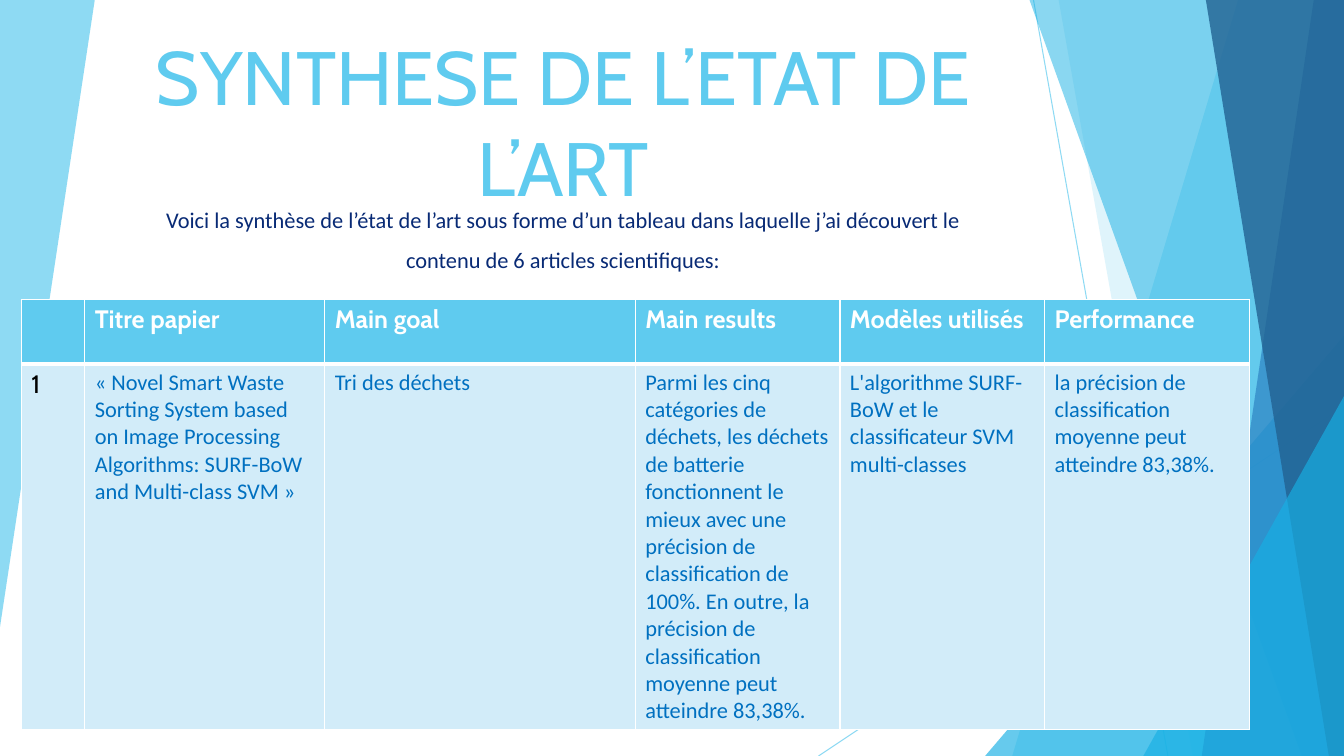
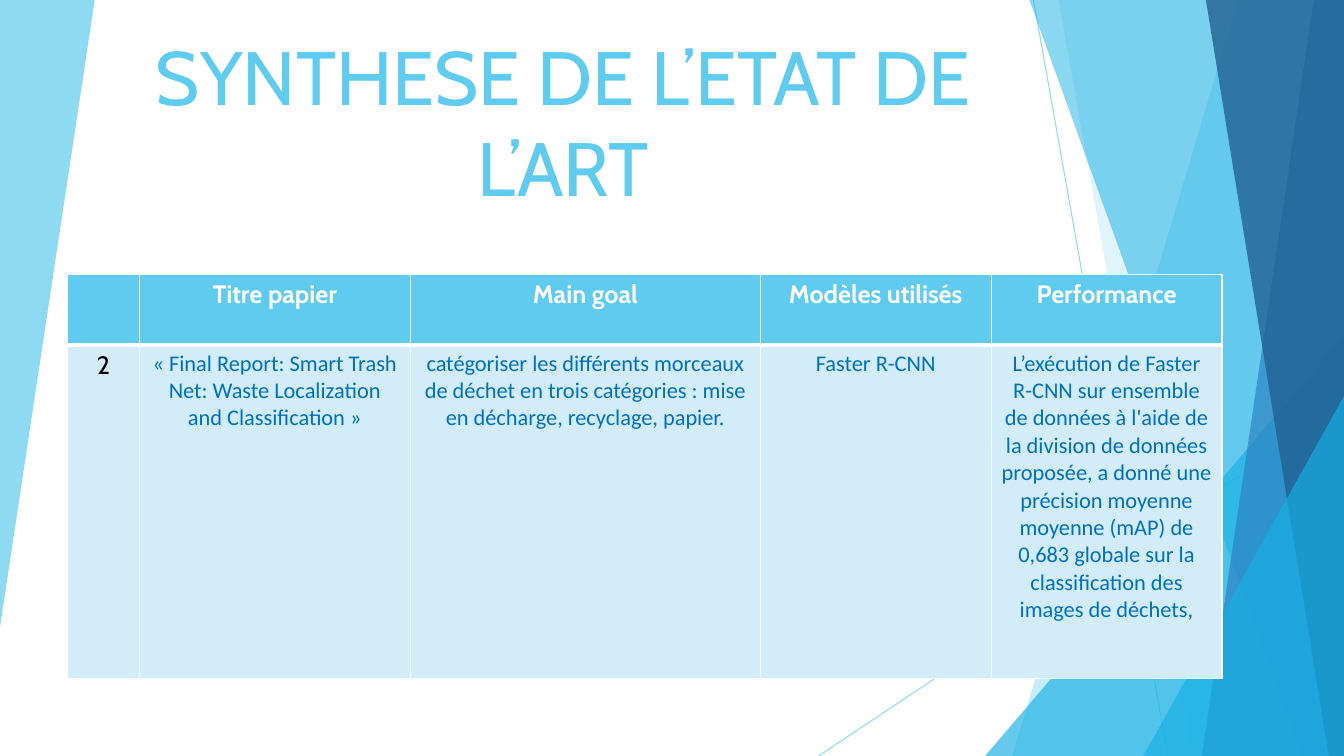
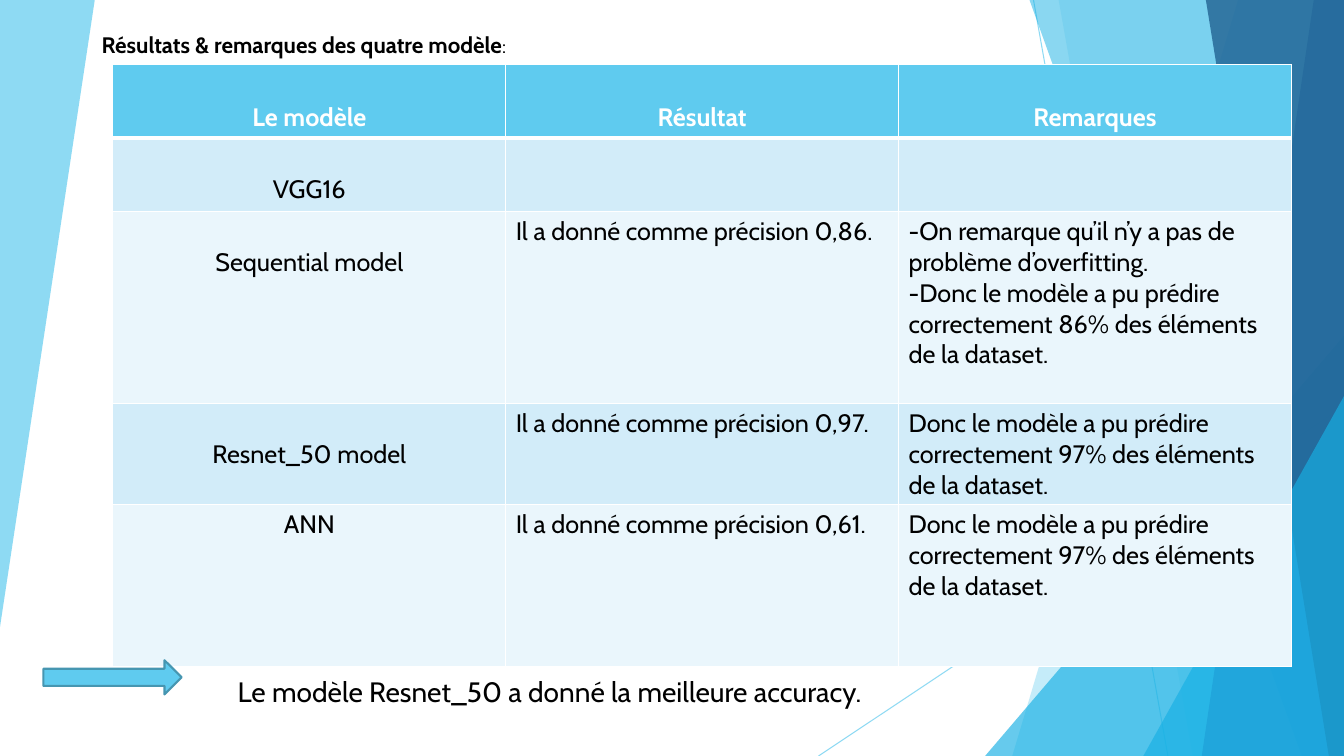
from lxml.etree import SubElement
from pptx import Presentation
from pptx.dml.color import RGBColor
from pptx.enum.shapes import MSO_CONNECTOR, MSO_SHAPE
from pptx.enum.text import MSO_ANCHOR, PP_ALIGN
from pptx.oxml.ns import qn
from pptx.util import Inches, Pt

HUES = {
    "sky": "5FCBEF", "cyan": "17B0E4", "blue": "2E83C3", "deep": "226292",
    "navy": "082A75", "link": "0070C0", "edge": "4696B1", "pale": "D2ECF9",
    "mist": "EAF6FC", "white": "FFFFFF", "black": "000000",
}
RGB = {name: RGBColor.from_string(code) for name, code in HUES.items()}
MID = PP_ALIGN.CENTER

deck = Presentation()
deck.slide_width, deck.slide_height = Inches(13.33), Inches(7.5)
COL, ROW = deck.slide_width / 100, deck.slide_height / 100


def span(*shares):
    return [round(share * (ROW if k % 2 else COL)) for k, share in enumerate(shares)]


def write(para, words, size=18, font="Cabin", hue="black", bold=False,
          align=None, lead=None, gap=None):
    run = para.add_run()
    run.text = words
    run.font.size, run.font.name, run.font.bold = Pt(size), font, bold
    run.font.color.rgb = RGB[hue]
    para.alignment, para.line_spacing = align, lead
    if gap:
        para.space_before = Pt(gap)


blank = deck.slide_layouts[6]
for holder in list(blank.placeholders):
    holder.element.getparent().remove(holder.element)
slides = [deck.slides.add_slide(blank) for _ in range(3)]
first, second, third = slides

decor = []
for ends in [(76.9, 0, 86.9, 100), (100, 53.73, 60.9, 100)]:
    line = first.shapes.add_connector(MSO_CONNECTOR.STRAIGHT, *span(*ends))
    line.line.color.rgb, line.line.width = RGB["sky"], Pt(0.75)
    SubElement(line.element.spPr, qn("a:effectLst"))
    decor.append((line, 70))

bands = [
    ("sky", 70, [(0, 0), (7.05, 0), (0, 82.93)]),
    ("sky", 36, [(92.12, 0), (100, 0), (100, 100), (75.32, 100)]),
    ("sky", 20, [(78.77, 0), (100, 0), (100, 100), (88.75, 100)]),
    ("cyan", 66, (73.3, 44.4)),
    ("cyan", 50, [(76.6, 0), (100, 0), (100, 100), (96.85, 100)]),
    ("blue", 70, [(97.75, 0), (100, 0), (100, 100), (89.42, 100)]),
    ("deep", 80, [(89.72, 0), (100, 0), (100, 100), (98.87, 100)]),
    ("cyan", 66, (85.07, 52.4)),
]
for hue, alpha, spots in bands:
    if isinstance(spots, tuple):
        x, y = spots
        band = first.shapes.add_shape(
            MSO_SHAPE.ISOSCELES_TRIANGLE, *span(x, y, 100 - x, 100 - y))
        band.adjustments[0] = 1
    else:
        pen = first.shapes.build_freeform(*span(*spots[0]))
        pen.add_line_segments([span(*spot) for spot in spots[1:]], close=True)
        band = pen.convert_to_shape()
    band.shadow.inherit = False
    band.fill.solid()
    band.fill.fore_color.rgb = RGB[hue]
    band.line.fill.background()
    decor.append((band, alpha))

for shape, alpha in decor:
    tint = shape.element.spPr.find(".//" + qn("a:srgbClr"))
    SubElement(tint, qn("a:alpha"), val=str(alpha * 1000))
    blank.shapes.element.append(shape.element)

title = [("SYNTHESE DE L’ETAT DE L’ART", dict(size=54, hue="sky", align=MID))]
boxes = [
    (first, (10.05, 3.47, 63.7, 25.2), MSO_ANCHOR.BOTTOM, title),
    (second, (10.05, 3.47, 63.7, 25.2), MSO_ANCHOR.BOTTOM, title),
    (first, (10.05, 24.8, 63.7, 66.8), MSO_ANCHOR.TOP, [
        ("Voici la synthèse de l’état de l’art sous forme d’un tableau dans laquelle "
         "j’ai découvert le contenu de 6 articles scientifiques:",
         dict(size=16, font="Calibri", hue="navy", align=MID, lead=1.5, gap=10))]),
    (third, (6.83, 3.47, 35.56, 8.93), MSO_ANCHOR.TOP, [
        ("Résultats & remarques des quatre modèle", dict(size=16, bold=True)),
        (":", dict(size=14))]),
    (third, (16.95, 88.53, 66.1, 5.87), MSO_ANCHOR.TOP, [
        ("Le modèle Resnet_50 a donné la meilleure accuracy.", dict(size=20))]),
]
for slide, place, hold, runs in boxes:
    frame = slide.shapes.add_textbox(*span(*place)).text_frame
    frame.word_wrap, frame.vertical_anchor = True, hold
    for words, form in runs:
        write(frame.paragraphs[0], words, **form)

plain = dict(size=18)
small = dict(size=16, font="Calibri", hue="link")
tables = [
    (first, (1.58, 39.6), [4.73, 17.85, 23.11] + [15.23] * 3, [8.53, 48.4], small, (), [
        ["", "Titre papier", "Main goal", "Main results", "Modèles utilisés", "Performance"],
        ["1",
         "« Novel Smart Waste Sorting System based on Image Processing Algorithms: "
         "SURF-BoW and Multi-class SVM »",
         "Tri des déchets",
         "Parmi les cinq catégories de déchets, les déchets de batterie fonctionnent le "
         "mieux avec une précision de classification de 100%. En outre, la précision de "
         "classification moyenne peut atteindre 83,38%.",
         "L'algorithme SURF-BoW et le classificateur SVM multi-classes",
         "la précision de classification moyenne peut atteindre 83,38%."]]),
    (second, (5.03, 36.27), [5.33, 20.18, 26.03, 17.18, 17.18], [9.33, 44.2], small, range(5), [
        ["", "Titre papier", "Main goal", "Modèles utilisés", "Performance"],
        ["2",
         "« Final Report: Smart Trash Net: Waste Localization and Classification »",
         "catégoriser les différents morceaux de déchet en trois catégories : mise en "
         "décharge, recyclage, papier.",
         "Faster R-CNN",
         "L’exécution de Faster R-CNN sur ensemble de données à l'aide de la division de "
         "données proposée, a donné une\nprécision moyenne moyenne (mAP) de 0,683 globale "
         "sur la classification des images de déchets,"]]),
    (third, (8.4, 8.53), [29.23] * 3, [9.73, 9.73, 25.4, 13.33, 21.4], plain, (0,), [
        ["Le modèle", "Résultat", "Remarques"],
        ["VGG16", "", ""],
        ["Sequential model", "Il a donné comme précision 0,86.",
         "-On remarque qu’il n’y a pas de problème d’overfitting.\n"
         "-Donc le modèle a pu prédire correctement 86% des éléments de la dataset."],
        ["Resnet_50 model", "Il a donné comme précision 0,97.",
         "Donc le modèle a pu prédire correctement 97% des éléments de la dataset."],
        ["ANN", "Il a donné comme précision 0,61.",
         "Donc le modèle a pu prédire correctement 97% des éléments de la dataset."]]),
]
for slide, spot, wide, high, body, mids, data in tables:
    table = slide.shapes.add_table(
        len(high), len(wide), *span(*spot, sum(wide), sum(high))).table
    for c, share in enumerate(wide):
        table.columns[c].width = round(share * COL)
    for r, share in enumerate(high):
        table.rows[r].height = round(share * ROW)
        for c, words in enumerate(data[r]):
            cell = table.cell(r, c)
            props = cell._tc.get_or_add_tcPr()
            for side in "LRTB":
                thick = (r, side) in [(0, "B"), (1, "T")]
                edge = SubElement(props, qn("a:ln" + side), w=str(Pt(3 if thick else 1)))
                SubElement(SubElement(edge, qn("a:solidFill")), qn("a:srgbClr"),
                           val=HUES["white"])
            cell.fill.solid()
            cell.fill.fore_color.rgb = RGB["sky" if r == 0 else "pale" if r % 2 else "mist"]
            form = dict(body if c else plain)
            if r == 0:
                form = dict(hue="white", bold=True)
                if slide is third:
                    cell.vertical_anchor = MSO_ANCHOR.BOTTOM
            elif slide is third and c == 0 and r < 4:
                form["lead"] = 2.0
            if c in mids or (mids and r == 0):
                form["align"] = MID
            for k, part in enumerate(words.split("\n") if words else []):
                frame = cell.text_frame
                write(frame.add_paragraph() if k else frame.paragraphs[0], part, **form)

arrow = third.shapes.add_shape(MSO_SHAPE.RIGHT_ARROW, *span(3.23, 87.33, 10.28, 4.53))
arrow.shadow.inherit = False
arrow.fill.solid()
arrow.fill.fore_color.rgb = RGB["sky"]
arrow.line.color.rgb, arrow.line.width = RGB["edge"], Pt(1.5)

deck.save("out.pptx")
